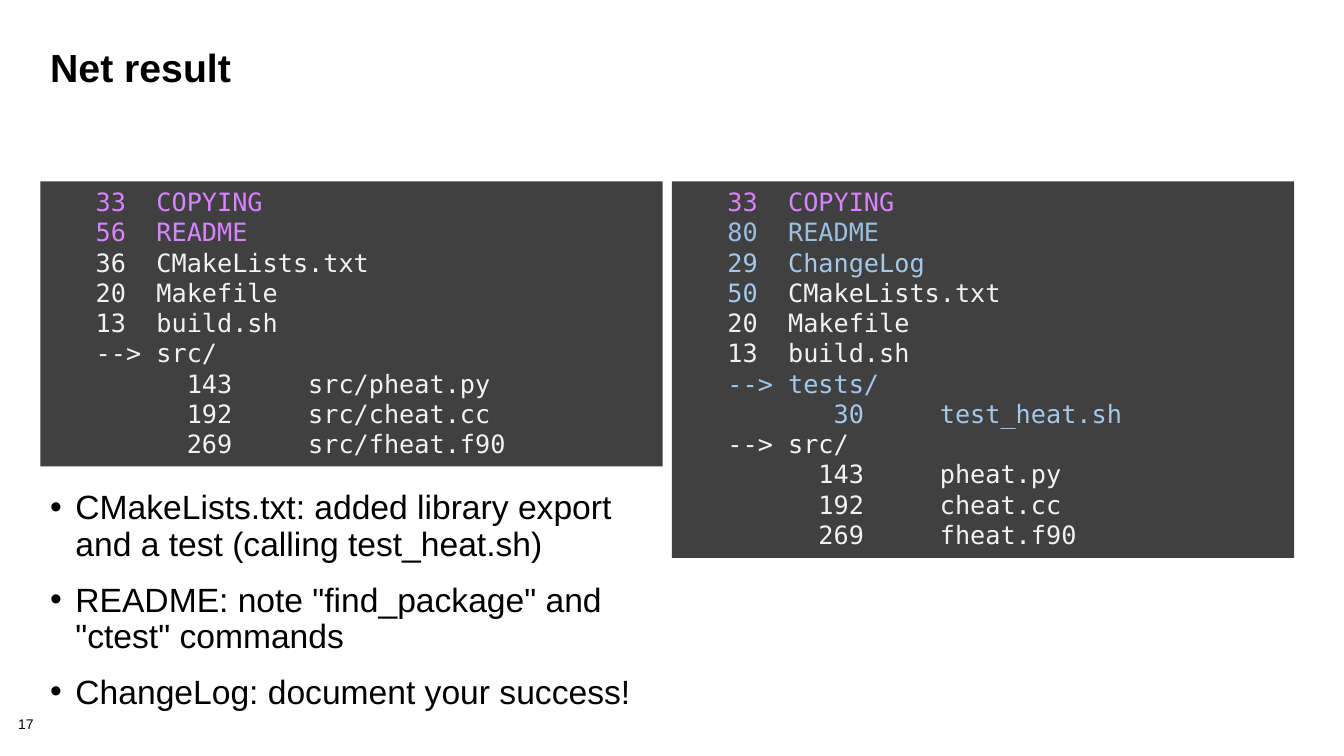
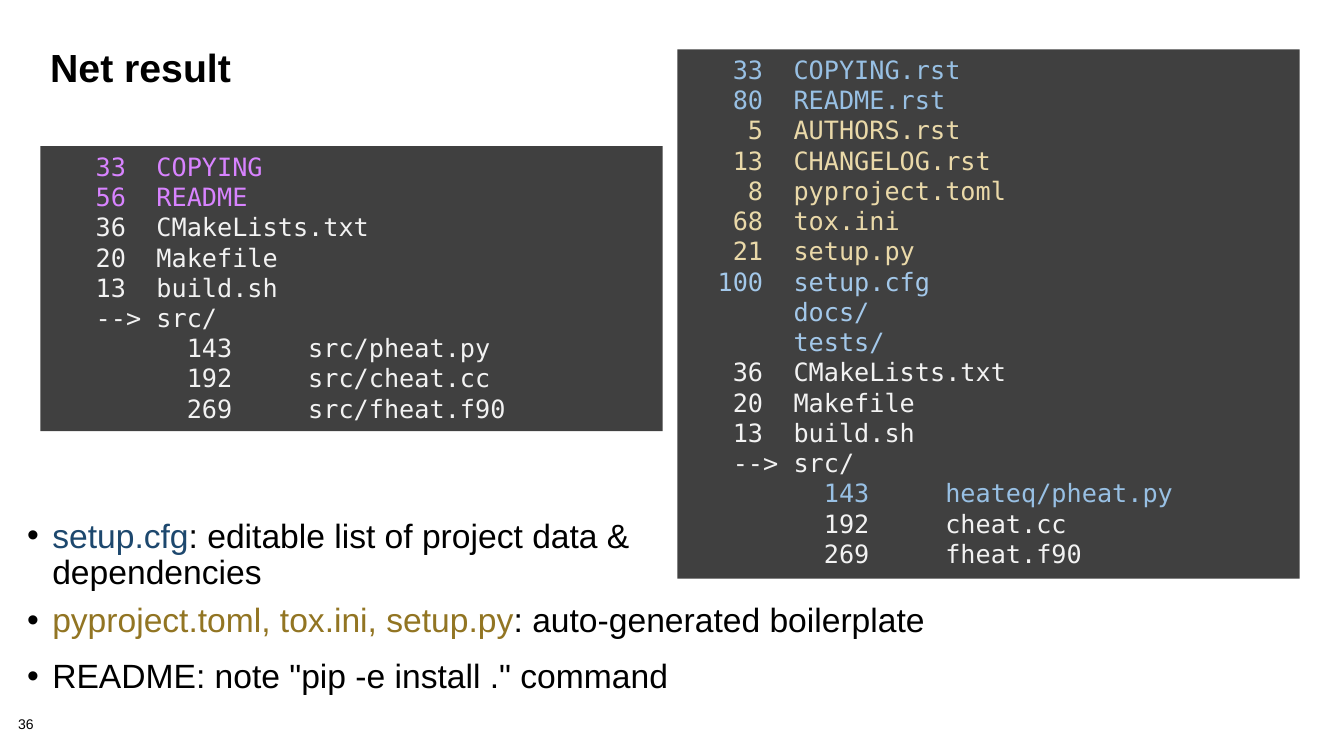
from dataclasses import dataclass

from lxml import etree
from pptx import Presentation
from pptx.dml import color
from pptx.enum import shapes, text
from pptx.oxml import ns
from pptx.util import Emu, Inches, Pt


@dataclass(frozen=True)
class Theme:
    width: float = 13.33
    height: float = 7.5
    sans: str = "Arial"
    mono: str = "DejaVu Sans Mono"
    title_size: int = 28
    body_size: int = 24
    code_size: int = 18
    number_size: int = 10
    ink: str = "000000"
    panel: str = "404040"
    plain: str = "F2F2F2"
    old: str = "D883FF"
    changed: str = "98C0E4"
    added: str = "A3C8EA"
    generated: str = "EAD9A9"
    navy: str = "1D486E"
    ochre: str = "927523"


THEME = Theme()
CHARACTER = 0.602 * THEME.code_size / 72
LINE = 0.303
PANEL_WIDTH = 46.3
LEFT = 3
FILE_TABS = (("r", 5), ("l", 7))
FOLDER_TABS = (("l", 3), ("l", 7))
NESTED_TABS = (("r", 12), ("l", 17))
BARE_TABS = (("l", 7),)


def across(percent):
    return Inches(THEME.width * percent / 100)


def down(percent):
    return Inches(THEME.height * percent / 100)


def add_run(paragraph, words, size, tint=THEME.ink, font=THEME.sans, bold=False):
    run = paragraph.add_run()
    run.text = words
    run.font.name = font
    run.font.size = Pt(size)
    run.font.bold = bold
    run.font.color.rgb = color.RGBColor.from_string(tint)


def add_text_box(slide, left, top, width, height):
    shape = slide.shapes.add_textbox(across(left), down(top), across(width), down(height))
    shape.text_frame.word_wrap = True
    return shape.text_frame


def next_paragraph(frame, index):
    return frame.add_paragraph() if index else frame.paragraphs[0]


def add_child(parent, tag, **attributes):
    child = etree.SubElement(parent, ns.qn(tag))
    for name, value in attributes.items():
        child.set(name, str(value))
    return child


def set_tabs(paragraph, stops):
    tab_list = add_child(paragraph._p.get_or_add_pPr(), "a:tabLst")
    for alignment, column in stops:
        add_child(tab_list, "a:tab", pos=int(Inches(column * CHARACTER)), algn=alignment)


def set_bullet(paragraph):
    paragraph.line_spacing = 0.9
    paragraph.space_before = Pt(14)
    properties = paragraph._p.get_or_add_pPr()
    indent = int(Inches(0.25))
    properties.set("marL", str(indent))
    properties.set("indent", str(-indent))
    add_child(add_child(properties, "a:buClr"), "a:srgbClr", val=THEME.ink)
    add_child(properties, "a:buFont", typeface=THEME.sans)
    add_child(properties, "a:buChar", char="•")


def add_bullets(slide, left, top, width, height, items):
    frame = add_text_box(slide, left, top, width, height)
    for index, runs in enumerate(items):
        paragraph = next_paragraph(frame, index)
        set_bullet(paragraph)
        for words, tint in runs:
            add_run(paragraph, words, THEME.body_size, tint)


def add_listing(slide, left, top, rows):
    height = Inches(LINE * len(rows) + 0.1)
    shape = slide.shapes.add_shape(
        shapes.MSO_SHAPE.RECTANGLE, across(left), down(top), across(PANEL_WIDTH), height)
    shape.shadow.inherit = False
    shape.fill.solid()
    shape.fill.fore_color.rgb = color.RGBColor.from_string(THEME.panel)
    shape.line.fill.background()
    frame = shape.text_frame
    frame.word_wrap = True
    frame.auto_size = text.MSO_AUTO_SIZE.SHAPE_TO_FIT_TEXT
    frame.vertical_anchor = text.MSO_ANCHOR.TOP
    for index, (stops, cells) in enumerate(rows):
        paragraph = next_paragraph(frame, index)
        paragraph.alignment = text.PP_ALIGN.LEFT
        set_tabs(paragraph, stops)
        for words, tint in cells:
            add_run(paragraph, "\t" + words, THEME.code_size, tint, THEME.mono)


def file(lines, name, tint=THEME.plain, count_tint=None):
    return FILE_TABS, ((str(lines), count_tint or tint), (name, tint))


def nested(lines, name, tint=THEME.plain):
    return NESTED_TABS, ((str(lines), tint), (name, tint))


def folder(name, tint=THEME.plain):
    return FOLDER_TABS, (("-->", tint), (name, tint))


def bare(name, tint):
    return BARE_TABS, ((name, tint),)


BUILD_FILES = [file(20, "Makefile"), file(13, "build.sh")]
CMAKE = file(36, "CMakeLists.txt")
SOURCES = [(143, "pheat.py"), (192, "cheat.cc"), (269, "fheat.f90")]
BEFORE = [
    file(33, "COPYING", THEME.old),
    file(56, "README", THEME.old),
    CMAKE,
    *BUILD_FILES,
    folder("src/"),
    *[nested(lines, "src/" + name) for lines, name in SOURCES],
]
AFTER_CMAKE = [
    file(33, "COPYING", THEME.old),
    file(80, "README", THEME.changed),
    file(29, "ChangeLog", THEME.added),
    file(50, "CMakeLists.txt", count_tint=THEME.added),
    *BUILD_FILES,
    folder("tests/", THEME.added),
    nested(30, "test_heat.sh", THEME.added),
    folder("src/"),
    *[nested(lines, name) for lines, name in SOURCES],
]
GENERATED = [(5, "AUTHORS.rst"), (13, "CHANGELOG.rst"), (8, "pyproject.toml"),
             (68, "tox.ini"), (21, "setup.py")]
AFTER_PYTHON = [
    file(33, "COPYING.rst", THEME.changed),
    file(80, "README.rst", THEME.changed),
    *[file(lines, name, THEME.generated) for lines, name in GENERATED],
    file(100, "setup.cfg", THEME.added),
    bare("docs/", THEME.added),
    bare("tests/", THEME.added),
    CMAKE,
    *BUILD_FILES,
    folder("src/"),
    nested(143, "heateq/pheat.py", THEME.changed),
    *[nested(lines, name) for lines, name in SOURCES[1:]],
]


def add_result_slide(presentation, number, before_top, after, after_left, after_top):
    slide = presentation.slides.add_slide(presentation.slide_layouts[6])
    frame = add_text_box(slide, 1.35, 94.93, 4.2, 2.13)
    frame.margin_left = frame.margin_right = frame.margin_top = frame.margin_bottom = Emu(0)
    frame.paragraphs[0].line_spacing = 0.9
    add_run(frame.paragraphs[0], str(number), THEME.number_size)
    title = add_text_box(slide, LEFT, 6, 93.3, 13.33).paragraphs[0]
    title.line_spacing = 0.85
    add_run(title, "Net result", THEME.title_size, bold=True)
    add_listing(slide, LEFT, before_top, BEFORE)
    add_listing(slide, after_left, after_top, after)
    return slide


def main():
    presentation = Presentation()
    presentation.slide_width = Inches(THEME.width)
    presentation.slide_height = Inches(THEME.height)

    cmake_slide = add_result_slide(presentation, 17, 24, AFTER_CMAKE, 50, 24)
    add_bullets(cmake_slide, LEFT, 64.27, PANEL_WIDTH, 31.73, [
        [("CMakeLists.txt: added library export and a test (calling test_heat.sh)", THEME.ink)],
        [('README: note "find_package" and "ctest" commands', THEME.ink)],
        [("ChangeLog: document your success!", THEME.ink)],
    ])

    python_slide = add_result_slide(presentation, 36, 19.33, AFTER_PYTHON, 50.4, 6.53)
    add_bullets(python_slide, 1.28, 68, 51.8, 25.33, [
        [("setup.cfg", THEME.navy),
         (": editable list of project data & dependencies", THEME.ink)],
    ])
    add_bullets(python_slide, 1.28, 79.2, 78.9, 20.8, [
        [("pyproject.toml, tox.ini, setup.py", THEME.ochre),
         (": auto-generated boilerplate", THEME.ink)],
        [('README: note "pip -e install ." command', THEME.ink)],
    ])
    presentation.save("out.pptx")


main()
